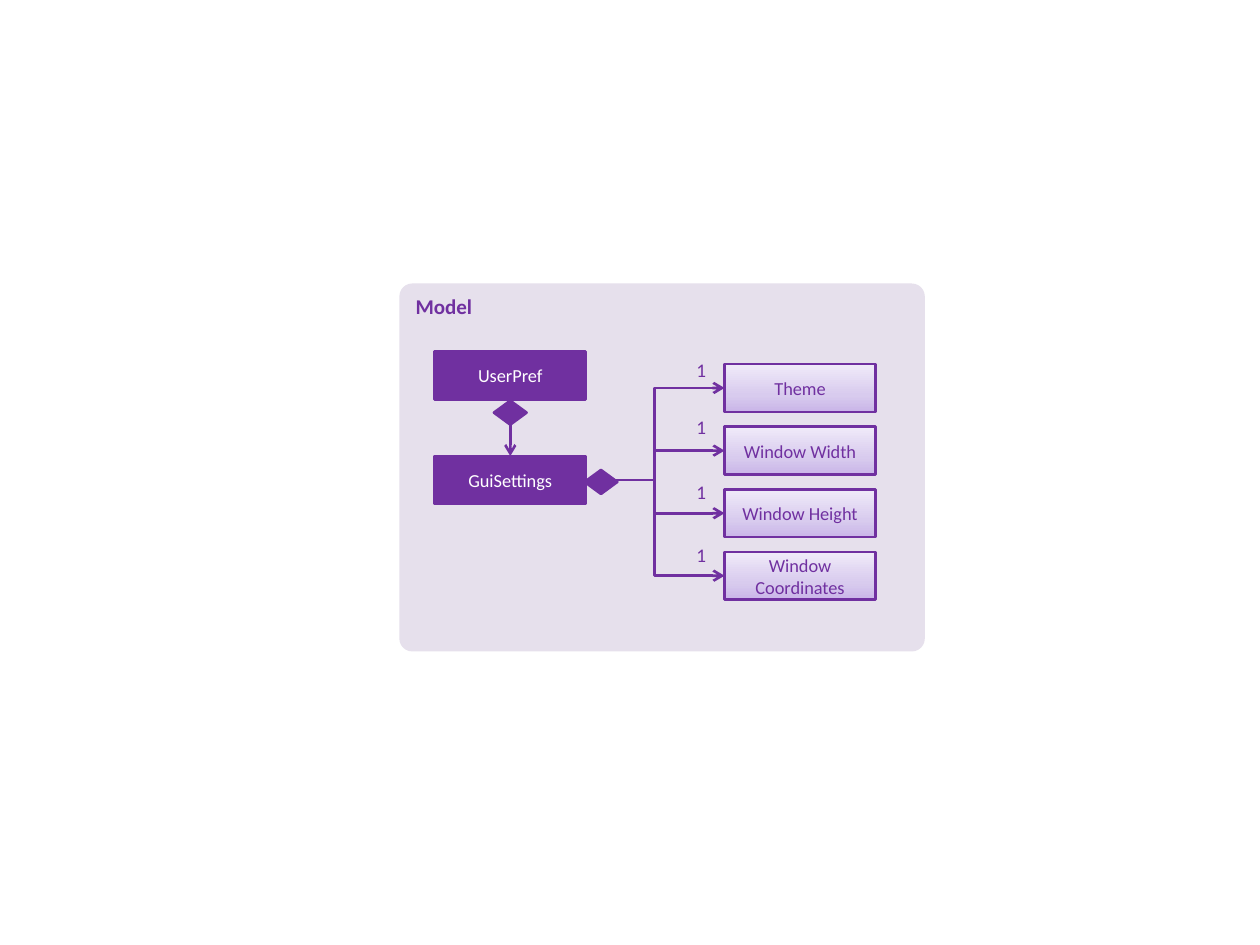
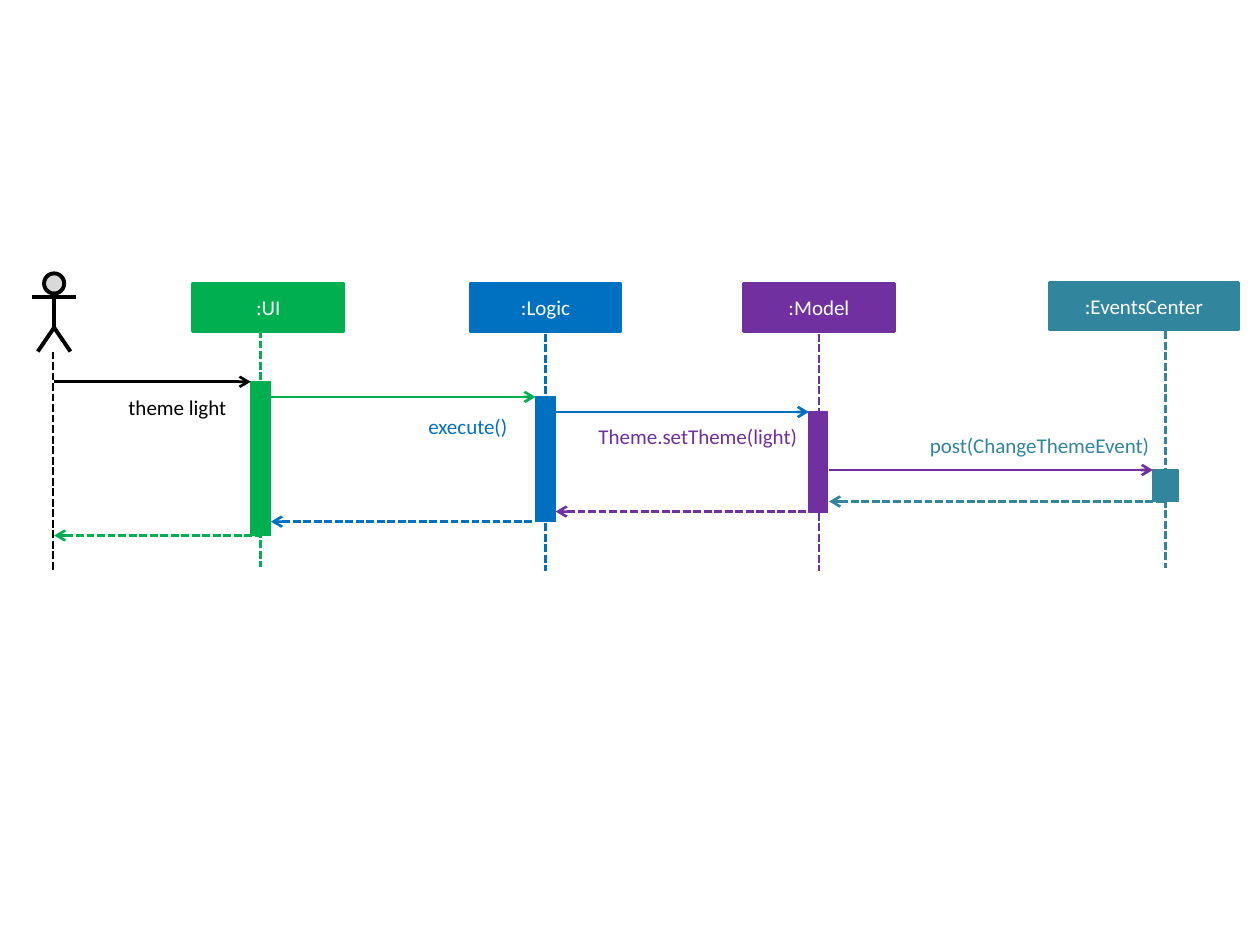
import copy

import lxml.etree
import pptx
import pptx.dml.color
import pptx.enum.dml
import pptx.enum.shapes
import pptx.enum.text
import pptx.oxml.ns
import pptx.util
from pptx.util import Inches

FONT = "Calibri"
BLACK = "000000"
WHITE = "FFFFFF"
GREEN = "00B050"
BLUE = "0070C0"
PURPLE = "7030A0"
TEAL = "31859C"
LILAC = "E6E0EC"
GREY = "D9D9D9"
GRADIENT = [(0, "C9B5E8"), (0.35, "D8CBEE"), (1, "F0EAF9")]

SHAPES = pptx.enum.shapes.MSO_SHAPE
CONNECTORS = pptx.enum.shapes.MSO_CONNECTOR
ALIGN = pptx.enum.text.PP_ALIGN
BOX_HEIGHT = 0.38


def rgb(value):
    """Turn a hex string into a colour."""
    return pptx.dml.color.RGBColor.from_string(value)


def write_text(shape, text, size, color, align, bold=False):
    """Put one formatted paragraph into a shape."""
    shape.text_frame.text = text
    paragraph = shape.text_frame.paragraphs[0]
    paragraph.alignment = align
    font = paragraph.runs[0].font
    font.name = FONT
    font.size = pptx.util.Pt(size)
    font.bold = bold
    font.color.rgb = rgb(color)


def set_line(line, color, width):
    """Give an outline its colour and width."""
    line.color.rgb = rgb(color)
    line.width = pptx.util.Pt(width)


def add_shape(slide, kind, place, fill, line=None, width=1.5):
    """Add a flat preset shape; place is left, top, width, height."""
    shape = slide.shapes.add_shape(kind, *map(Inches, place))
    shape.shadow.inherit = False
    shape.fill.solid()
    shape.fill.fore_color.rgb = rgb(fill)
    if line:
        set_line(shape.line, line, width)
    else:
        shape.line.fill.background()
    return shape


def add_box(slide, place, text, size, fill, line=None, color=WHITE):
    """Add a rectangle with centred text."""
    shape = add_shape(slide, SHAPES.RECTANGLE, place, fill, line or fill)
    shape.text_frame.vertical_anchor = pptx.enum.text.MSO_ANCHOR.MIDDLE
    shape.text_frame.word_wrap = True
    write_text(shape, text, size, color, ALIGN.CENTER)
    return shape


def add_gradient(shape):
    """Fill a shape with the three-stop gradient, darkest at the bottom."""
    shape.fill.gradient()
    shape.fill.gradient_angle = 90
    stop_list = shape.element.spPr.find(".//" + pptx.oxml.ns.qn("a:gsLst"))
    stop_list.append(copy.deepcopy(stop_list[0]))
    for stop, (position, color) in zip(shape.fill.gradient_stops, GRADIENT):
        stop.position = position
        stop.color.rgb = rgb(color)


def add_label(slide, place, text, size, color, align=ALIGN.LEFT, grow=False):
    """Add a text box without margins."""
    label = slide.shapes.add_textbox(*map(Inches, place))
    frame = label.text_frame
    frame.word_wrap = True
    frame.margin_left = frame.margin_right = 0
    frame.margin_top = frame.margin_bottom = 0
    if grow:
        frame.auto_size = pptx.enum.text.MSO_AUTO_SIZE.SHAPE_TO_FIT_TEXT
    write_text(label, text, size, color, align)


def add_line(slide, start, end, color, width=1.5, dashed=False, arrow=None,
             kind=CONNECTORS.STRAIGHT):
    """Add a connector; arrow is headEnd, tailEnd or None."""
    connector = slide.shapes.add_connector(kind, *map(Inches, start + end))
    set_line(connector.line, color, width)
    if dashed:
        connector.line.dash_style = pptx.enum.dml.MSO_LINE.SQUARE_DOT
    properties = connector.element.spPr
    if arrow:
        outline = properties.find(pptx.oxml.ns.qn("a:ln"))
        tip = lxml.etree.SubElement(outline, pptx.oxml.ns.qn("a:" + arrow))
        tip.set("type", "arrow")
    lxml.etree.SubElement(properties, pptx.oxml.ns.qn("a:effectLst"))


def add_diamond(slide, left, top):
    """Add a composition diamond."""
    add_shape(slide, SHAPES.FLOWCHART_DECISION, (left, top, 0.26, 0.19), PURPLE, PURPLE)


def add_participant(slide, box, text, color, lifeline, activation):
    """Add a participant box, its lifeline and its activation bar."""
    add_box(slide, box, text, 12, color)
    x, top, bottom = lifeline
    add_line(slide, (x, top), (x, bottom), color, dashed=True)
    add_shape(slide, SHAPES.RECTANGLE, activation, color, color, 0.75)


def add_actor(slide):
    """Add the stick figure and its lifeline."""
    add_shape(slide, SHAPES.FLOWCHART_CONNECTOR, (0.35, 2.17, 0.16, 0.16), GREY, BLACK, 2.25)
    add_line(slide, (0.43, 2.32), (0.43, 2.6), BLACK, 2.25)
    builder = slide.shapes.build_freeform(Inches(0.3), Inches(2.79))
    builder.add_line_segments(
        [(Inches(0.43), Inches(2.6)), (Inches(0.56), Inches(2.79))], close=False)
    legs = builder.convert_to_shape()
    legs.shadow.inherit = False
    legs.fill.background()
    set_line(legs.line, BLACK, 2.25)
    add_line(slide, (0.25, 2.36), (0.6, 2.36), BLACK, 2.25)
    add_line(slide, (0.42, 2.79), (0.42, 4.53), BLACK, dashed=True)


def build_class_diagram(slide):
    """Draw the model component with its classes."""
    panel = add_shape(slide, SHAPES.ROUNDED_RECTANGLE, (3.17, 2.25, 4.17, 2.92), LILAC)
    panel.adjustments[0] = 0.035
    panel.text_frame.vertical_anchor = pptx.enum.text.MSO_ANCHOR.TOP
    write_text(panel, "Model", 12, PURPLE, ALIGN.LEFT, bold=True)

    for text, top in (("UserPref", 2.79), ("GuiSettings", 3.62)):
        add_box(slide, (3.45, top, 1.2, BOX_HEIGHT), text, 10.5, PURPLE)
    add_diamond(slide, 3.92, 3.18)
    add_line(slide, (4.05, 3.17), (4.05, 3.62), PURPLE, arrow="tailEnd")

    settings = [("Theme", 2.84), ("Window Width", 3.3),
                ("Window Height", 3.81), ("Window Coordinates", 4.31)]
    first_top, last_top = 2.89, 4.38
    step = (last_top - first_top) / (len(settings) - 1)
    for index, (text, count_top) in enumerate(settings):
        top = first_top + index * step
        box = add_box(slide, (5.75, top, 1.2, BOX_HEIGHT), text, 10.5,
                      LILAC, PURPLE, PURPLE)
        add_gradient(box)
        add_line(slide, (4.64, 3.81), (5.75, top + BOX_HEIGHT / 2), PURPLE,
                 arrow="tailEnd", kind=CONNECTORS.ELBOW)
        add_label(slide, (5.46, count_top, 0.21, 0.2), "1", 11, PURPLE, ALIGN.CENTER)
    add_diamond(slide, 4.64, 3.73)


def build_sequence_diagram(slide):
    """Draw the sequence of calls for a theme change."""
    participants = [
        ((1.53, 2.25, 1.2), ":UI", GREEN, (2.07, 2.62, 4.5), (1.99, 3.03, 0.16, 1.22)),
        ((3.73, 2.25, 1.2), ":Logic", BLUE, (4.33, 2.65, 4.53), (4.25, 3.15, 0.16, 0.99)),
        ((5.9, 2.25, 1.2), ":Model", PURPLE, (6.5, 2.65, 4.53), (6.42, 3.27, 0.15, 0.8)),
        ((8.33, 2.24, 1.5), ":EventsCenter", TEAL, (9.25, 2.63, 4.51),
         (9.15, 3.73, 0.2, 0.25)),
    ]
    calls = [(0.43, 1.99, 3.03, BLACK), (2.15, 4.25, 3.15, GREEN),
             (4.41, 6.42, 3.27, BLUE), (6.58, 9.15, 3.73, PURPLE)]
    returns = [(0.43, 2.07, 4.25, GREEN), (2.15, 4.23, 4.14, BLUE),
               (4.41, 6.42, 4.06, PURPLE), (6.58, 9.25, 3.98, TEAL)]
    messages = [(1.02, 3.13, 1.34, "theme light", BLACK),
                (3.4, 3.28, 1.06, "execute()", BLUE),
                (4.75, 3.36, 1.87, "Theme.setTheme(light)", PURPLE),
                (7.38, 3.43, 2.53, "post(ChangeThemeEvent)", TEAL)]

    add_actor(slide)
    for box, text, color, lifeline, activation in participants:
        add_participant(slide, box + (BOX_HEIGHT,), text, color, lifeline, activation)
    for left, right, y, color in calls:
        add_line(slide, (left, y), (right, y), color, arrow="tailEnd")
    for left, right, y, color in returns:
        add_line(slide, (left, y), (right, y), color, dashed=True, arrow="headEnd")
    for left, top, width, text, color in messages:
        add_label(slide, (left, top, width, 0.2), text, 12, color, grow=True)


def main():
    """Build and save the presentation."""
    presentation = pptx.Presentation()
    presentation.slide_width = Inches(10)
    presentation.slide_height = Inches(7.5)
    blank = presentation.slide_layouts[6]
    for build in (build_class_diagram, build_sequence_diagram):
        build(presentation.slides.add_slide(blank))
    presentation.save("out.pptx")


main()
